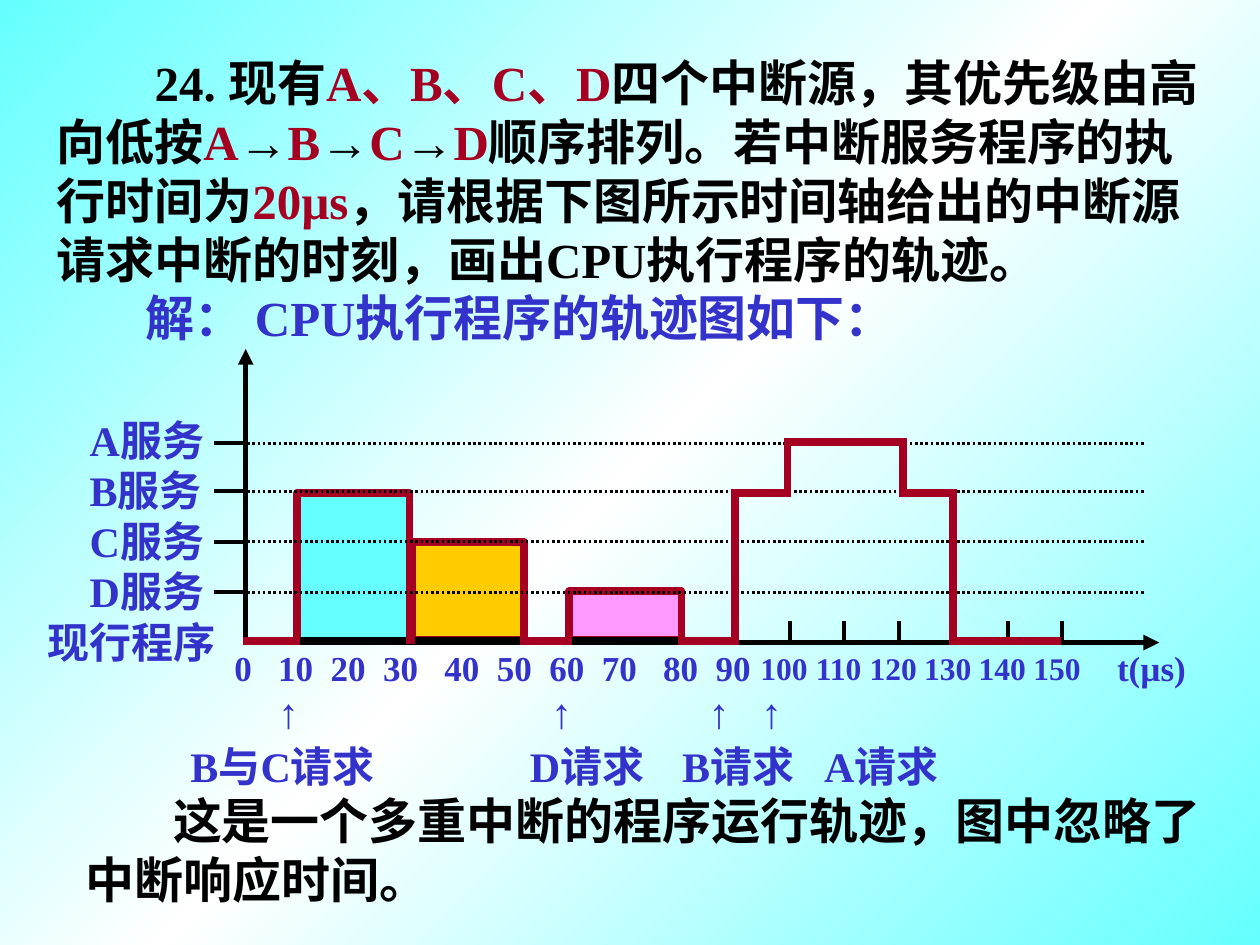
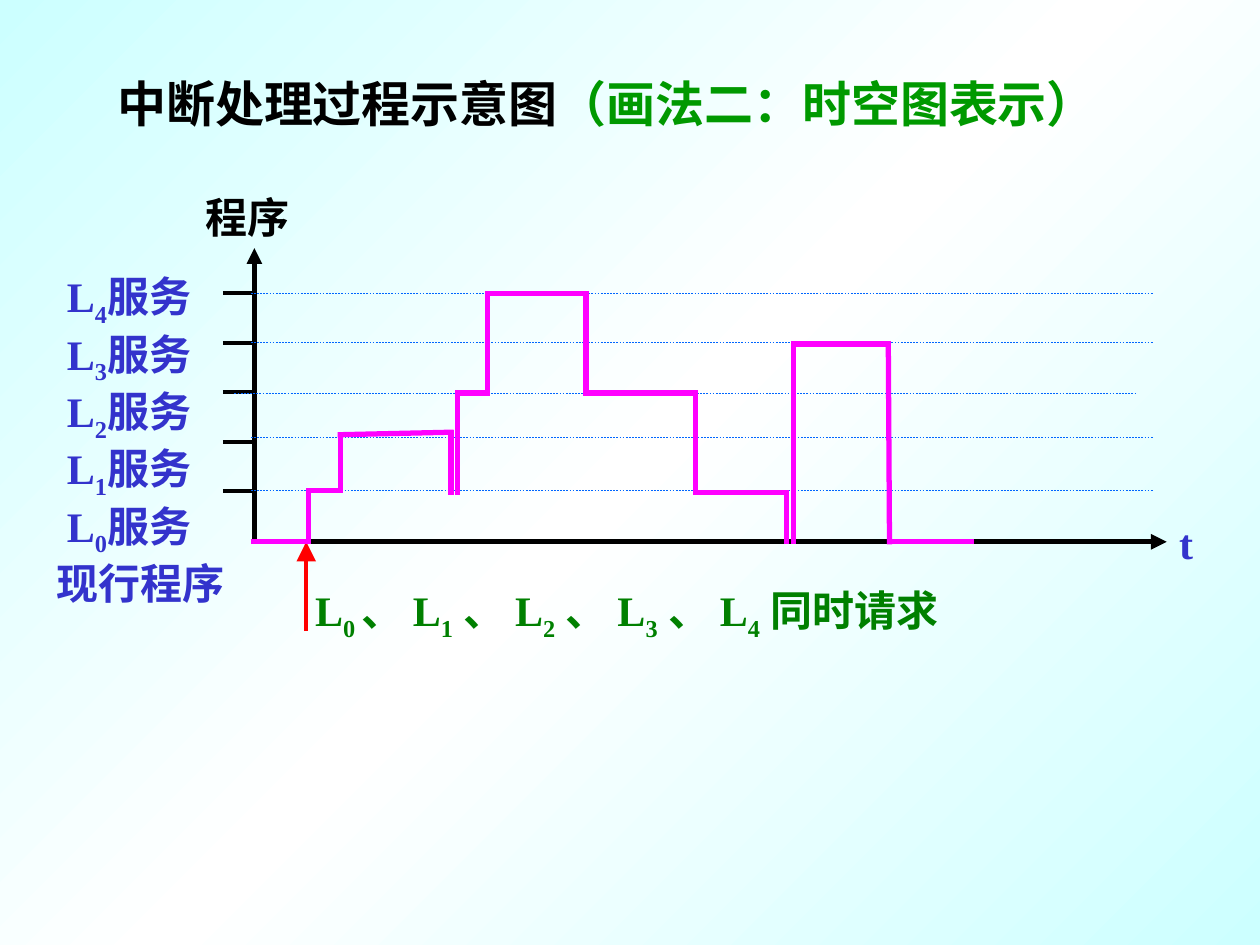
import copy
import itertools
import pptx
import pptx.util
import pptx.dml.color
import pptx.enum.dml
import pptx.enum.shapes
import pptx.enum.text
import pptx.oxml.ns
from dataclasses import dataclass

Pt = pptx.util.Pt
qn = pptx.oxml.ns.qn
Dash = pptx.enum.dml.MSO_LINE
Align = pptx.enum.text.PP_ALIGN


@dataclass(frozen=True)
class Theme:
    face: str = "Times New Roman"
    sign: str = "Arial"
    black: str = "000000"
    blue: str = "3333CC"
    wine: str = "A50021"
    pink: str = "FF00FF"
    lime: str = "009900"
    green: str = "008000"
    red: str = "FF0000"
    guide: str = "0066FF"
    head: int = 28
    label: int = 24
    scale: int = 20
    small: int = 18


T = Theme()

# Content: a bar sign switches between plain and marked runs
TASK = ("24. 现有|A、B、C、D|四个中断源，其优先级由高向低按|A|→|B|→|C|→|D|"
        "顺序排列。若中断服务程序的执行时间为|20µs|，请根据下图所示时间轴给出的"
        "中断源请求中断的时刻，画出CPU执行程序的轨迹。")
REPLY = "解： CPU执行程序的轨迹图如下："
NOTE = "这是一个多重中断的程序运行轨迹，图中忽略了中断响应时间。"
NAMES = ["A服务", "B服务", "C服务", "D服务"]
MAIN = "现行程序"
ASKS = [(109, "B与C请求"), (303, "D请求"), (390, "B请求"), (471, "A请求")]
CALLS = [165, 321, 411, 441]
# Time label groups: first centre, step, values
TIMES = [(139, 30, range(0, 40, 10)), (264, 30, range(40, 80, 10)),
         (389, 30, range(80, 100, 10)), (448, 31.2, range(100, 160, 10)),
         (658, 0, ["t(µs)"])]
BARS = [(169.9, 281.5, "66FFFF"), (235.4, 309.6, "FFCC00"),
        (325.4, 337.7, "FF99FF")]
ROWS = [253.4, 280.8, 309.6, 338.4]
BASE = 366.5
RUNS = [
    [(141, BASE), (170.6, BASE)],
    [(297.4, BASE), (327.6, BASE)],
    [(388, BASE), (420, BASE), (420, 281.5), (450, 281.5), (450, 252.7),
     (516, 252.7), (516, 281.5), (544.5, 281.5), (544.5, BASE), (604, BASE)],
]

HEAD = "中断处理过程示意图|（画法二：时空图表示）"
LEVELS = [f"L|{n}|服务" for n in range(4, -1, -1)]
BURST = "L|0 |、 L|1| 、 L|2| 、 L|3| 、 L|4| 同时请求"
GUIDES = [(143.3, 167.8), (143.3, 195.8), (134, 224.6),
          (143.3, 249.8), (143.3, 280.1)]
FLOOR = 309.6
STEPS = [
    [(144.7, FLOOR), (176.4, FLOOR), (176.4, 280.1), (194.4, 280.1),
     (194.4, 248.4), (257.8, 247), (257.8, 281.5)],
    [(261.4, 281.5), (261.4, 224.6), (278.6, 224.6), (278.6, 167.8),
     (334.8, 167.8), (334.8, 224.6), (397.4, 224.6), (397.4, 281.5),
     (449.3, 281.5), (449.3, FLOOR)],
    [(453.6, FLOOR), (453.6, 196.6), (507.6, 196.6), (508.3, FLOOR),
     (555, FLOOR)],
]


def rgb(code):
    return pptx.dml.color.RGBColor.from_string(code)


# Text helpers
def write(par, text, size, color, mark=None, face=T.face, left=0, first=0,
          align=Align.LEFT):
    """Add the runs; mark(run) styles every second one."""
    par.alignment = align
    props = par._p.get_or_add_pPr()
    props.set("marL", str(Pt(left)))
    props.set("indent", str(Pt(first)))
    for n, part in enumerate(text.split("|")):
        run = par.add_run()
        run.text = part
        font = run.font
        font.name, font.size, font.bold = face, Pt(size), True
        font.color.rgb = rgb(color)
        if mark and n % 2:
            mark(run)


def tint(color):
    def mark(run):
        run.font.color.rgb = rgb(color)
    return mark


def lower(run):
    run.font._element.set("baseline", "-25000")


def box(slide, x, y, w, h):
    frame = slide.shapes.add_textbox(Pt(x), Pt(y), Pt(w), Pt(h)).text_frame
    frame.word_wrap = True
    return frame


def lines(frame, count):
    return [frame.paragraphs[0]] + [frame.add_paragraph() for _ in range(count - 1)]


def center(slide, x, y, text, size, face=T.face):
    """Write a blue label centred on x."""
    par = box(slide, x - 40, y, 80, 36).paragraphs[0]
    write(par, text, size, T.blue, face=face, align=Align.CENTER)


def title(slide, x, y, w, h):
    shape = slide.shapes.title
    shape.left, shape.top, shape.width, shape.height = map(Pt, (x, y, w, h))
    frame = shape.text_frame
    frame.auto_size = pptx.enum.text.MSO_AUTO_SIZE.NONE
    frame.vertical_anchor = pptx.enum.text.MSO_ANCHOR.MIDDLE
    frame.word_wrap = True
    return frame


# Drawing helpers
def line(slide, start, end, color, width, dash=None, tip=None, cap=None):
    link = slide.shapes.add_connector(
        pptx.enum.shapes.MSO_CONNECTOR.STRAIGHT, *map(Pt, (*start, *end)))
    link.line.color.rgb = rgb(color)
    link.line.width = Pt(width)
    if dash:
        link.line.dash_style = dash
    props = link._element.spPr
    stroke = link.line._get_or_add_ln()
    if cap:
        stroke.set("cap", cap)
    if tip:
        stroke.append(stroke.makeelement(
            qn("a:tailEnd"), {"type": "triangle", "w": tip, "len": tip}))
    props.append(props.makeelement(qn("a:effectLst"), {}))


def trace(slide, paths, color, width):
    for path in paths:
        for start, end in itertools.pairwise(path):
            line(slide, start, end, color, width, cap="sq")


def axes(slide, x, y, top, right):
    for end in ((x, top), (right, y)):
        line(slide, (x, y), end, T.black, 3, tip="med")


def labels(slide, spot, names, left, mark=None):
    pars = lines(box(slide, *spot), len(names) + 1)
    for par, name in zip(pars, names):
        write(par, name, T.label, T.blue, mark, left=left)
    write(pars[-1], MAIN, T.label, T.blue)


def start(deck, edge):
    slide = deck.slides.add_slide(deck.slide_layouts[5])
    fill = slide.background.fill
    fill.gradient()
    fill.gradient_angle = 135
    stops = slide.element.find(".//" + qn("a:gsLst"))
    stops.append(copy.deepcopy(stops[0]))
    for stop, place, color in zip(fill.gradient_stops, (0, 0.5, 1),
                                  (edge, "FFFFFF", edge)):
        stop.position = place
        stop.color.rgb = rgb(color)
    return slide


def tracks(deck):
    slide = start(deck, "66FFFF")
    ask, reply = lines(title(slide, 25.2, 18, 676.8, 192.2), 2)
    write(ask, TASK, T.head, T.black, tint(T.wine), first=56)
    write(reply, REPLY, T.head, T.blue, first=51)

    # Axes, ticks and row names
    axes(slide, 140.4, 367.2, 199.4, 662.4)
    labels(slide, (20.2, 233.3, 129.6, 151.2), NAMES, 24)
    for y in ROWS:
        line(slide, (122.4, y), (140.4, y), T.black, 2.25)
    for n in range(1, 16):
        x = 140.2 + 31.12 * n
        line(slide, (x, 355), (x, 367.2), T.black, 2.25)

    # Time scale, request arrows and closing note
    for x, step, values in TIMES:
        small = values[0] == 100
        size, y = (T.small, 367.6) if small else (T.scale, 365.8)
        for n, value in enumerate(values):
            center(slide, x + step * n, y, str(value), size)
    for x in CALLS:
        center(slide, x, 388.8, "↑", T.label, T.sign)
    for x, name in ASKS:
        par = box(slide, x - 7.2, 419.6, 150, 36).paragraphs[0]
        write(par, name, T.label, T.blue)
    par = box(slide, 41.8, 448.1, 660.2, 74).paragraphs[0]
    write(par, NOTE, T.head, T.black, first=50)

    # Service bars, guides and trace
    for x, y, color in BARS:
        bar = slide.shapes.add_shape(pptx.enum.shapes.MSO_SHAPE.RECTANGLE,
                                     *map(Pt, (x, y, 64.1, BASE - 0.5 - y)))
        bar.shadow.inherit = False
        bar.fill.solid()
        bar.fill.fore_color.rgb = rgb(color)
        bar.line.color.rgb = rgb(T.wine)
        bar.line.width = Pt(4.5)
    for y in ROWS:
        line(slide, (138.2, y), (653.8, y), T.black, 1.5, Dash.ROUND_DOT)
    trace(slide, RUNS, T.wine, 4.5)
    for x, _, _ in BARS:
        line(slide, (x + 1.5, BASE), (x + 62, BASE), T.black, 4.5)


def nested(deck):
    slide = start(deck, "CCFFFF")
    frame = title(slide, 59.8, 34.6, 629.3, 48.2)
    write(frame.paragraphs[0], HEAD, T.head, T.black, tint(T.lime))

    # Axes, ticks and names
    axes(slide, 145.4, FLOOR, 141.8, 666.7)
    labels(slide, (25.2, 151.2, 129.6, 200.2), LEVELS, 6, lower)
    for n, (x, y) in enumerate(GUIDES):
        tick = 167.5 + 28.3 * n
        line(slide, (127.4, tick), (145, tick), T.black, 2.25)
        line(slide, (x, y), (x + 515.5, y), T.guide, 0.25, Dash.DASH)
    for x, y, w, name, color in ((666.7, 292.3, 30, "t", T.blue),
                                 (110.2, 105.8, 80, "程序", T.black)):
        par = box(slide, x, y, w, 36).paragraphs[0]
        write(par, name, T.label, color)

    # Request and trace
    par = box(slide, 173, 330.5, 510, 40.3).paragraphs[0]
    write(par, BURST, T.label, T.green, lower)
    line(slide, (175, 360.7), (175, FLOOR), T.red, 2.25, tip="lg")
    trace(slide, STEPS, T.pink, 3)


def main():
    deck = pptx.Presentation()
    deck.slide_width, deck.slide_height = Pt(720), Pt(540)
    tracks(deck)
    nested(deck)
    deck.save("out.pptx")


if __name__ == "__main__":
    main()
